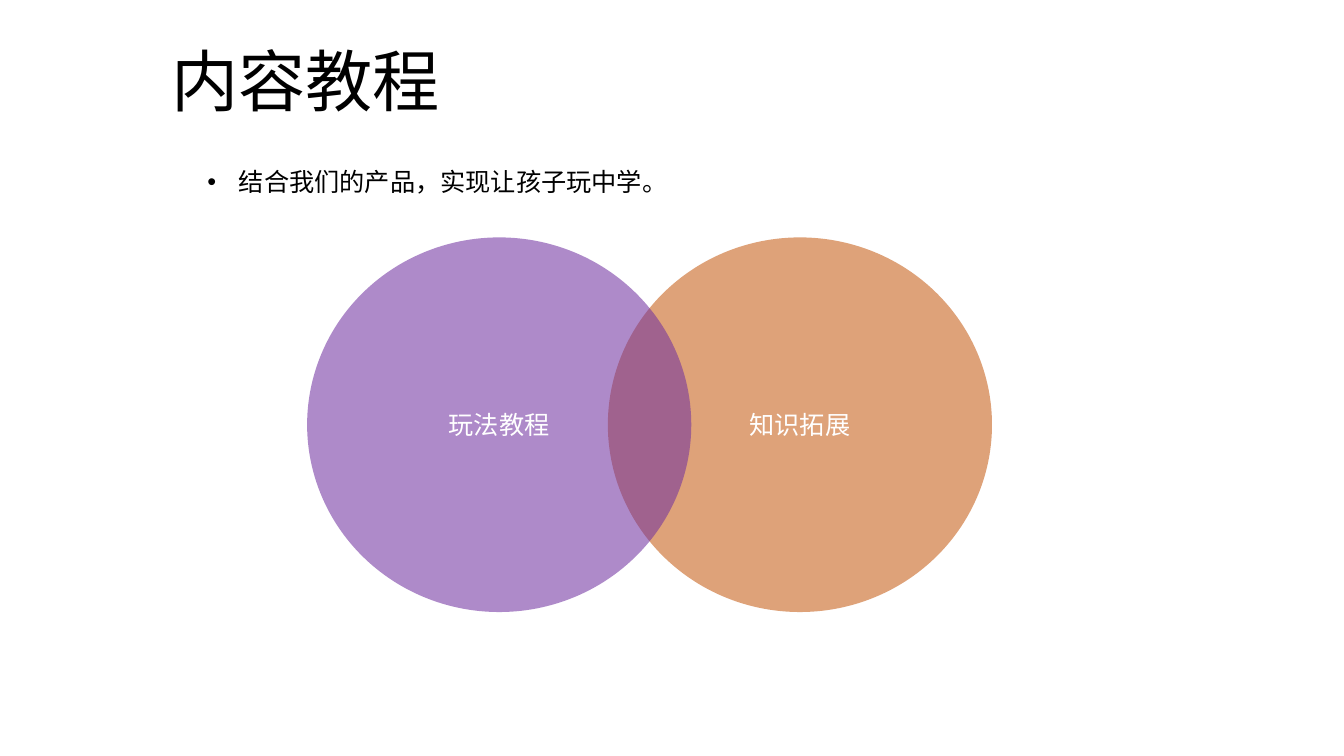
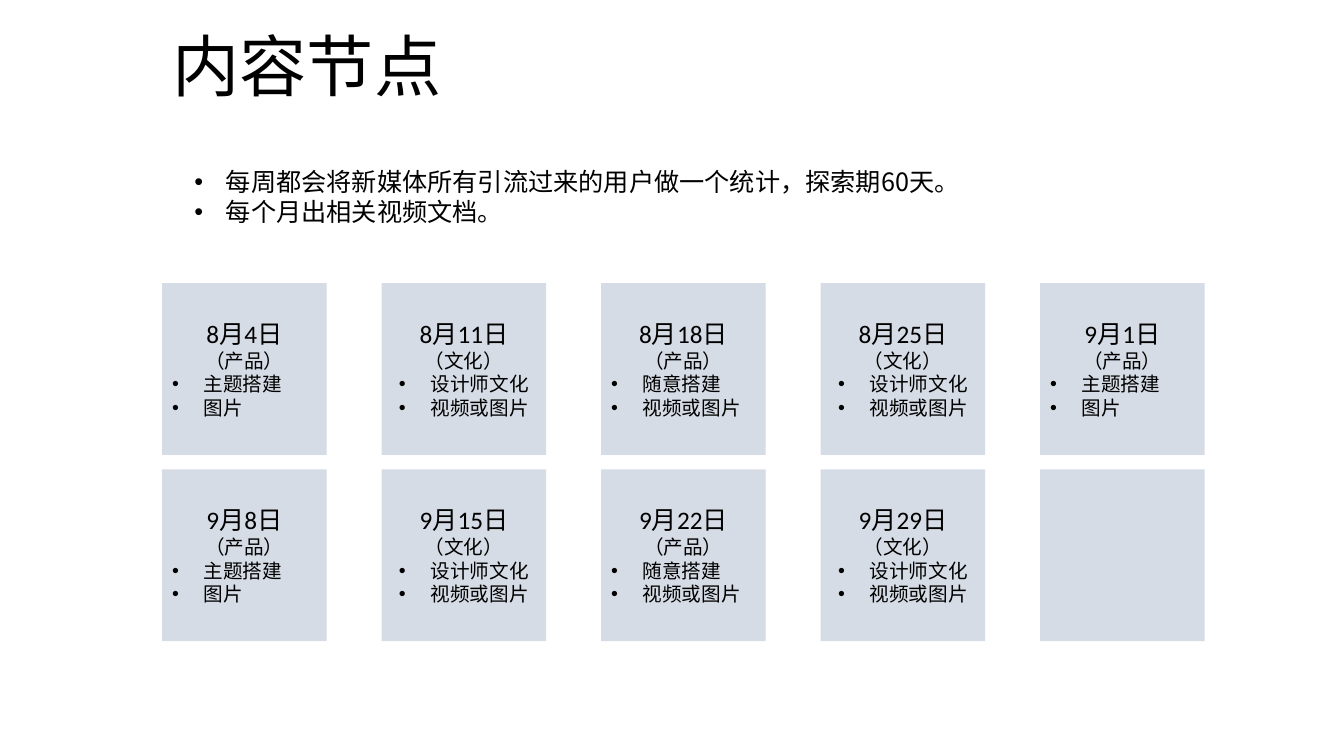
from dataclasses import dataclass

from lxml import etree
from pptx import Presentation
from pptx.dml.color import RGBColor
from pptx.enum import shapes, text
from pptx.oxml.ns import qn
from pptx.util import Pt


@dataclass(frozen=True)
class Theme:
    ink: str = "000000"
    white: str = "FFFFFF"
    card: str = "D6DCE5"
    purple: str = "7030A0"
    orange: str = "C55A11"
    cjk: str = "Noto Sans CJK SC"
    latin: str = "Calibri"
    title: int = 48
    body: int = 18
    small: int = 14
    indent: float = 22.5


THEME = Theme()
LEFT, CENTER = text.PP_ALIGN.LEFT, text.PP_ALIGN.CENTER

# Schedule: date and kind of post
KINDS = {
    "主题": ("（产品）", LEFT, ("主题搭建", "图片")),
    "随意": ("（产品）", LEFT, ("随意搭建", "视频或图片")),
    "文化": ("（文化）", CENTER, ("设计师文化", "视频或图片")),
}
SCHEDULE = [
    [("8月4日", "主题"), ("8月11日", "文化"), ("8月18日", "随意"),
     ("8月25日", "文化"), ("9月1日", "主题")],
    [("9月8日", "主题"), ("9月15日", "文化"), ("9月22日", "随意"),
     ("9月29日", "文化"), None],
]


def apply(target, **values):
    for name, value in values.items():
        setattr(target, name, value)


def place(shape, left, top, width, height):
    apply(shape, left=Pt(left), top=Pt(top), width=Pt(width), height=Pt(height))


# Text
def add_bullet(para):
    props = para._p.get_or_add_pPr()
    props.set("marL", str(Pt(THEME.indent)))
    props.set("indent", str(-Pt(THEME.indent)))
    etree.SubElement(props, qn("a:buFont")).set("typeface", "Arial")
    etree.SubElement(props, qn("a:buChar")).set("char", "•")


def write(frame, lines):
    """Fill a frame with dicts of line values: words, size, font, color, align, bullet."""
    for index, line in enumerate(lines):
        para = frame.paragraphs[0] if index == 0 else frame.add_paragraph()
        para.alignment = line.get("align", LEFT)
        if line.get("bullet"):
            add_bullet(para)
        span = para.add_run()
        span.text = line["words"]
        apply(span.font, size=Pt(line.get("size", THEME.body)),
              name=line.get("font", THEME.latin))
        span.font.color.rgb = RGBColor.from_string(line.get("color", THEME.ink))
        east_asian = etree.Element(qn("a:ea"), typeface=THEME.cjk)
        span.font._element.find(qn("a:latin")).addnext(east_asian)


def fit_to_text(frame):
    apply(frame, word_wrap=False, vertical_anchor=text.MSO_ANCHOR.TOP,
          auto_size=text.MSO_AUTO_SIZE.SHAPE_TO_FIT_TEXT)


def add_page(deck, title, left, top):
    page = deck.slides.add_slide(deck.slide_layouts[5])
    box = page.shapes.title
    place(box, left, top, 208, 65.5)
    fit_to_text(box.text_frame)
    write(box.text_frame, [dict(words=title, size=THEME.title, font=THEME.cjk)])
    return page


def add_bullets(page, bounds, lines):
    box = page.shapes.add_textbox(0, 0, 0, 0)
    place(box, *bounds)
    fit_to_text(box.text_frame)
    write(box.text_frame,
          [dict(words=line, font=THEME.cjk, bullet=True) for line in lines])


# Shapes
def add_panel(page, kind, bounds, color, lines, opacity=None):
    panel = page.shapes.add_shape(kind, *map(Pt, bounds))
    panel.shadow.inherit = False
    panel.fill.solid()
    panel.fill.fore_color.rgb = RGBColor.from_string(color)
    panel.line.fill.background()
    if opacity is not None:
        tint = panel._element.spPr.find(f".//{qn('a:srgbClr')}")
        etree.SubElement(tint, qn("a:alpha")).set("val", str(opacity * 1000))
    panel.text_frame.vertical_anchor = text.MSO_ANCHOR.MIDDLE
    write(panel.text_frame, lines)


def card_lines(entry):
    if entry is None:
        return []
    date, kind = entry
    label, align, items = KINDS[kind]
    return [
        dict(words=date, align=CENTER),
        dict(words=label, size=THEME.small, align=CENTER),
        *(dict(words=item, size=THEME.small, align=align, bullet=True)
          for item in items),
    ]


# Slides
def build_tutorial(deck):
    page = add_page(deck, "内容教程", 115.2, 24.5)
    add_bullets(page, (141.1, 115.2, 346.3, 29),
                ["结合我们的产品，实现让孩子玩中学。"])
    circles = [(434.2, THEME.orange, "知识拓展"), (219.4, THEME.purple, "玩法教程")]
    for left, color, label in circles:
        add_panel(page, shapes.MSO_SHAPE.FLOWCHART_CONNECTOR,
                  (left, 169.6, 274.4, 267.6), color,
                  [dict(words=label, color=THEME.white, align=CENTER)], opacity=56)


def build_schedule(deck):
    page = add_page(deck, "内容节点", 116, 13.7)
    width, height, column_step, row_step = 117.5, 122.7, 156.8, 133
    for row, entries in enumerate(SCHEDULE):
        for column, entry in enumerate(entries):
            bounds = (115.8 + column * column_step, 202.2 + row * row_step,
                      width, height)
            add_panel(page, shapes.MSO_SHAPE.RECTANGLE, bounds, THEME.card,
                      card_lines(entry))
    add_bullets(page, (131.8, 115.2, 564.5, 51),
                ["每周都会将新媒体所有引流过来的用户做一个统计，探索期60天。",
                 "每个月出相关视频文档。"])


def main():
    deck = Presentation()
    apply(deck, slide_width=Pt(960), slide_height=Pt(540))
    build_tutorial(deck)
    build_schedule(deck)
    deck.save("out.pptx")


if __name__ == "__main__":
    main()
